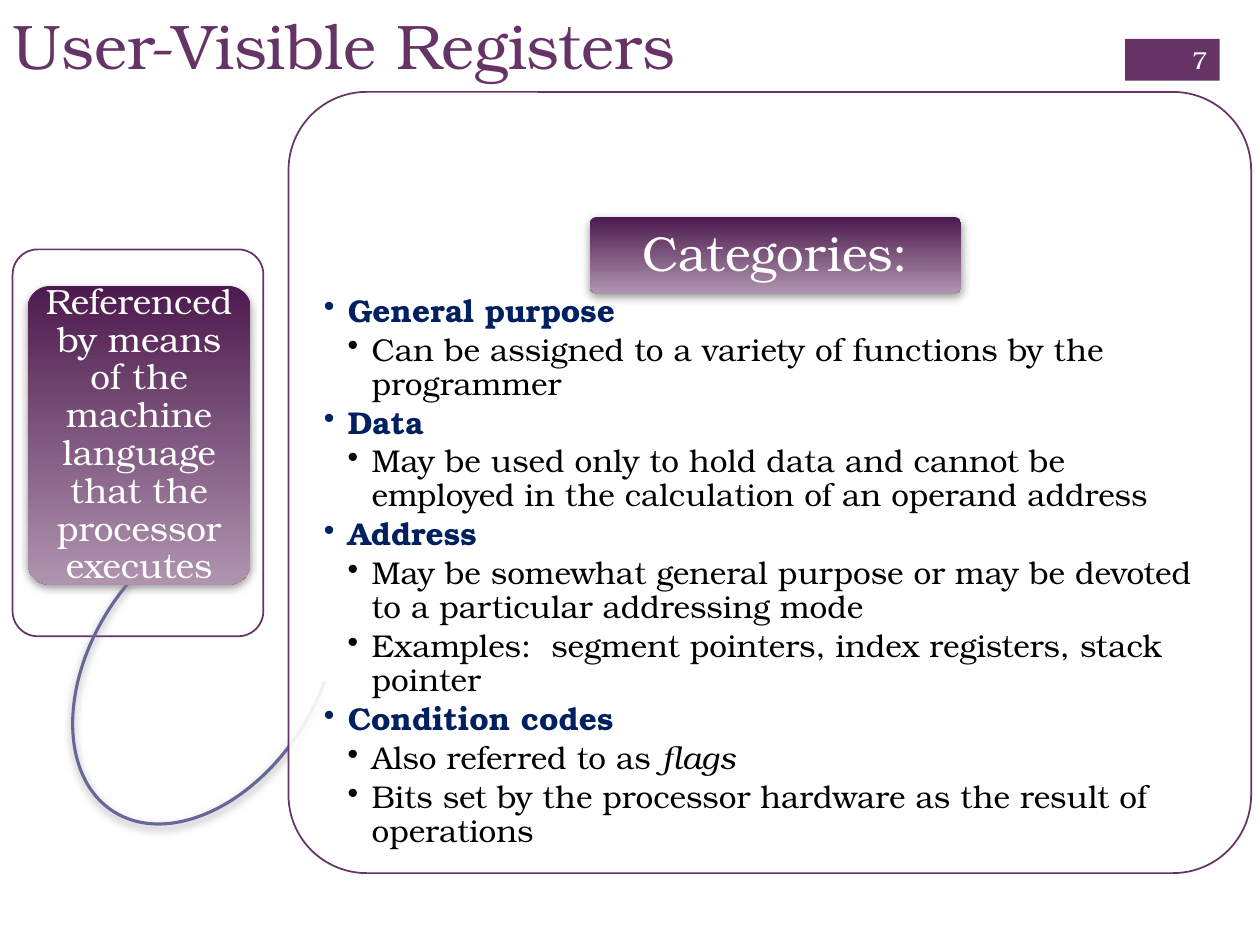
from lxml import etree
from pptx import Presentation
from pptx import util as u
from pptx.dml import color
from pptx.enum import shapes, text
from pptx.oxml import ns

FACE = "TeX Gyre Bonum"
PLUM = "663366"
WHITE = "FFFFFF"
ROUND = shapes.MSO_SHAPE.ROUNDED_RECTANGLE
MID = text.MSO_ANCHOR.MIDDLE
TOP = text.MSO_ANCHOR.TOP
LEFT, CENTER, RIGHT = text.PP_ALIGN.LEFT, text.PP_ALIGN.CENTER, text.PP_ALIGN.RIGHT

TOPICS = [
    ("General purpose", [["Can be assigned to a variety of functions by the programmer"]]),
    ("Data", [["May be used only to hold data and cannot be employed in the "
               "calculation of an operand address"]]),
    ("Address", [["May be somewhat general purpose or may be devoted to a "
                  "particular addressing mode"],
                 ["Examples:  segment pointers, index registers, stack pointer"]]),
    ("Condition codes", [["Also referred to as ", "flags"],
                         ["Bits set by the processor hardware as the result of operations"]]),
]


def rgb(code):
    """Turn a hex string into a colour."""
    return color.RGBColor.from_string(code)


def apply(item, form):
    """Set each attribute of item from the format values."""
    for name, value in form.items():
        setattr(item, name, value)


def node(parent, tag, **attrs):
    """Append a drawing element to parent."""
    child = etree.SubElement(parent, ns.qn(tag))
    for name, value in attrs.items():
        child.set(name, str(value))
    return child


def shape(slide, kind, box, fill=None, line=None, width=1, adjs=()):
    """Add a preset shape with flat fill and line."""
    item = slide.shapes.add_shape(kind, *map(u.Inches, box))
    item.shadow.inherit = False
    for i, value in enumerate(adjs):
        item.adjustments[i] = value
    if fill:
        item.fill.solid()
        item.fill.fore_color.rgb = rgb(fill)
    if line:
        item.line.color.rgb = rgb(line)
        item.line.width = u.Pt(width)
    else:
        item.line.fill.background()
    return item


def shade(item):
    """Give a shape a soft shadow below."""
    effect = item._element.spPr.find(ns.qn("a:effectLst"))
    outer = node(effect, "a:outerShdw", blurRad=u.Pt(5), dist=u.Pt(2),
                 dir=90 * 60000, rotWithShape=0)
    tint = node(outer, "a:srgbClr", val="808080")
    node(tint, "a:alpha", val=75000)


def panel(slide, box):
    """Add an outlined, slightly clear rounded panel."""
    item = shape(slide, ROUND, box, WHITE, PLUM, adjs=[0.1])
    tint = item._element.spPr.find(ns.qn("a:solidFill"))[0]
    node(tint, "a:alpha", val=90000)


def frame(item, anchor, pads):
    """Prepare the text frame of a shape with side and end insets."""
    body = item.text_frame
    side, end = map(u.Inches, pads)
    apply(body, dict(word_wrap=True, vertical_anchor=anchor, margin_left=side,
                     margin_right=side, margin_top=end, margin_bottom=end))
    return body


def write(para, words, size, code, **form):
    """Add a run of text to a paragraph."""
    run = para.add_run()
    run.text = words
    apply(run.font, dict(name=FACE, size=u.Pt(size), **form))
    run.font.color.rgb = rgb(code)


def label(item, words, size, code, align, anchor, pads, spacing=1.0):
    """Write a single paragraph in a shape."""
    para = frame(item, anchor, pads).paragraphs[0]
    apply(para, dict(alignment=align, line_spacing=spacing))
    write(para, words, size, code)


def card(slide, box, words, size, pads):
    """Add a shaded gradient card with centred text."""
    item = shape(slide, ROUND, box, adjs=[0.1])
    item.fill.gradient()
    item.fill.gradient_angle = 270
    for stop, code in zip(item.fill.gradient_stops, ("4D1A4D", "AF94AF")):
        stop.color.rgb = rgb(code)
    shade(item)
    label(item, words, size, WHITE, CENTER, MID, pads, 0.9)


def loop(slide):
    """Add the curved link between the two panels."""
    item = shape(slide, shapes.MSO_SHAPE.CIRCULAR_ARROW, (0.71, 3.96, 1.83, 2.71),
                 "666699", "666699", 0.75, [0.008, 0.898, 20.083, 91.675, 0.009])
    item.rotation = 213
    shade(item)


def bullet(body, level):
    """Start a bulleted paragraph at a level."""
    fresh = body.paragraphs[0]
    para = body.add_paragraph() if fresh.runs else fresh
    apply(para, dict(level=level, line_spacing=0.9, space_after=u.Pt(2.8), alignment=LEFT))
    props = para._p.get_or_add_pPr()
    props.set("marL", str(u.Inches(0.19 * level)))
    props.set("indent", str(u.Inches(-0.19)))
    node(props, "a:buChar", char="•")
    return para


def topics(slide):
    """List the register categories with their details."""
    box = slide.shapes.add_textbox(*map(u.Inches, (2.43, 2.2, 7.35, 4.59)))
    body = frame(box, TOP, (0.14, 0.14))
    for head, notes in TOPICS:
        write(bullet(body, 1), head, 18, "002060", bold=True)
        for note in notes:
            para = bullet(body, 2)
            for i, words in enumerate(note):
                write(para, words, 18, "000000", italic=i > 0)


def main():
    """Build and save the slide."""
    deck = Presentation()
    apply(deck, dict(slide_width=u.Inches(10), slide_height=u.Inches(7.5)))
    slide = deck.slides.add_slide(deck.slide_layouts[6])
    badge = shape(slide, shapes.MSO_SHAPE.RECTANGLE, (8.93, 0.31, 0.75, 0.33), PLUM)
    label(badge, "7", 14, WHITE, RIGHT, MID, (0.1, 0.03))
    panel(slide, (0.1, 1.98, 1.99, 3.07))
    loop(slide)
    card(slide, (0.22, 2.27, 1.77, 2.37),
         "Referenced by means of the machine language that the processor executes",
         20, (0.04, 0.03))
    panel(slide, (2.29, 0.73, 7.64, 6.2))
    topics(slide)
    card(slide, (4.68, 1.72, 2.95, 0.61), "Categories:", 28, (0.06, 0.04))
    title = slide.shapes.add_textbox(*map(u.Inches, (0, 0, 8.26, 1.22)))
    label(title, "User-Visible Registers", 36, PLUM, LEFT, TOP, (0.1, 0.05))
    deck.save("out.pptx")


if __name__ == "__main__":
    main()
